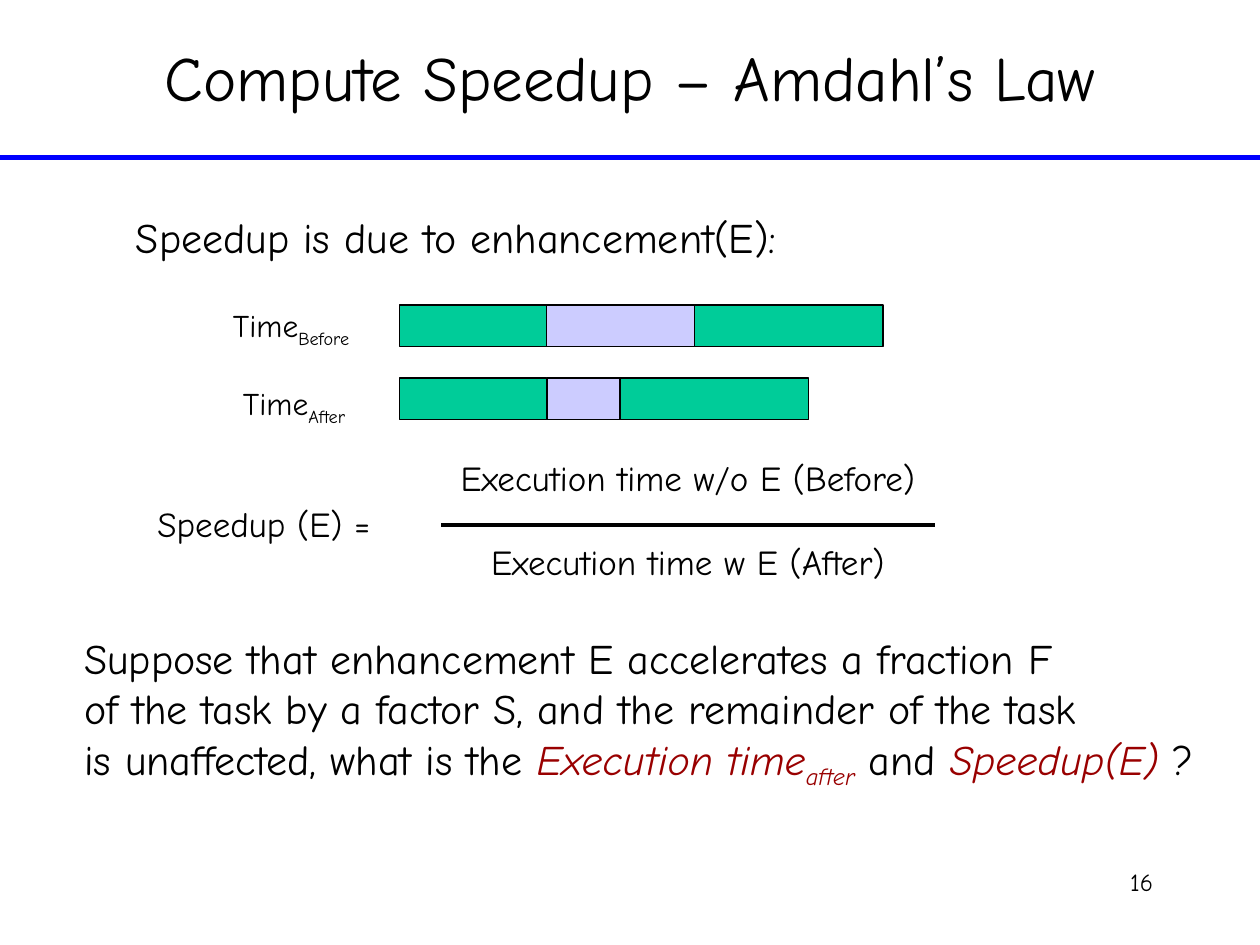
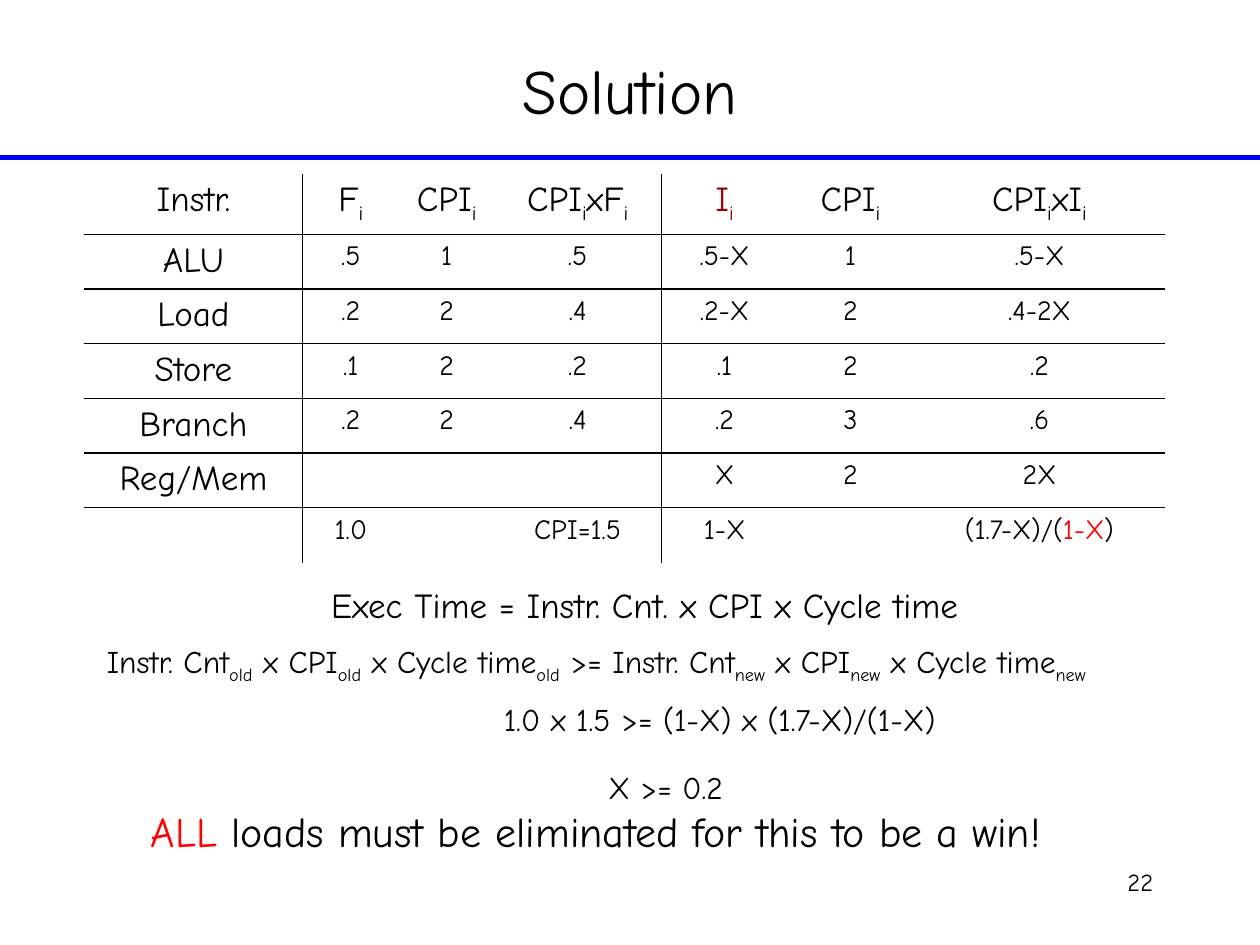
from lxml.etree import SubElement
from pptx import Presentation
from pptx.dml.color import RGBColor
from pptx.enum.shapes import MSO_CONNECTOR, MSO_SHAPE
from pptx.enum.text import MSO_ANCHOR, MSO_AUTO_SIZE, PP_ALIGN
from pptx.oxml.ns import qn
from pptx.util import Inches, Pt

FONT = "Comic Neue"
BLACK, BLUE, RED, DARK = "000000", "0000FF", "FF0000", "990000"
GREEN, LILAC = "00CC99", "CCCCFF"
LEFT, MID, RIGHT = PP_ALIGN.LEFT, PP_ALIGN.CENTER, PP_ALIGN.RIGHT
ink = RGBColor.from_string


def put(frame, size, align, lines, gap=0):
    """Write lines: each a string or a list of (text, colour, italic); _x_ is a subscript."""
    for i, line in enumerate(lines):
        para = frame.add_paragraph() if i else frame.paragraphs[0]
        para.alignment = align
        para.space_before = Pt(gap if i else 0)
        parts = [(line, BLACK, False)] if isinstance(line, str) else line
        for text, hue, slant in parts:
            for j, piece in enumerate(text.split("_")):
                if not piece:
                    continue
                run = para.add_run()
                run.text = piece
                look = {"name": FONT, "size": Pt(size), "italic": slant}
                for key, value in look.items():
                    setattr(run.font, key, value)
                run.font.color.rgb = ink(hue)
                if j % 2:
                    run.font._element.set("baseline", "-25000")


def rule(slide, x1, x2, y, hue, width):
    """Draw a level line."""
    line = slide.shapes.add_connector(
        MSO_CONNECTOR.STRAIGHT, Inches(x1), Inches(y), Inches(x2), Inches(y))
    line.line.color.rgb = ink(hue)
    line.line.width = Pt(width)
    SubElement(line._element.spPr, qn("a:effectLst"))


# Each box: place, size, alignment, wrap, gap between lines, lines
law = [
    ((0.98, 1.63, 5.63, 0.5), 24, LEFT, False, 0,
     ["Speedup is due to enhancement(E):"]),
    ((1.75, 2.38, 1.31, 0.4), 18, LEFT, False, 0, ["Time_Before_"]),
    ((1.83, 3, 1.23, 0.4), 18, LEFT, False, 0, ["Time_After_"]),
    ((1.15, 3.94, 1.99, 0.43), 20, LEFT, False, 0, ["Speedup (E) ="]),
    ((3.39, 3.57, 4.14, 1.1), 20, MID, False, 24,
     ["Execution time w/o E (Before)", "Execution time w E (After)"]),
    ((0.57, 4.97, 9.01, 1.7), 24, LEFT, True, 0,
     ["Suppose that enhancement E accelerates a fraction F",
      "of the task by a factor S, and the remainder of the task",
      [("is unaffected, what is the ", BLACK, False),
       ("Execution time_after_", DARK, True),
       (" and ", BLACK, False),
       ("Speedup(E) ", DARK, True),
       ("?", BLACK, False)]]),
]
answer = [
    ((2.53, 4.58, 5.69, 0.43), 20, LEFT, False, 0,
     ["Exec Time = Instr. Cnt. x CPI x Cycle time"]),
    ((0.75, 5.05, 8.91, 0.4), 18, LEFT, False, 0,
     ["Instr. Cnt_old_ x CPI_old_ x Cycle time_old_ >= "
      "Instr. Cnt_new_ x CPI_new_ x Cycle time_new_"]),
    ((3.9, 5.51, 3.91, 0.4), 18, LEFT, False, 0,
     ["1.0 x 1.5 >= (1-X) x (1.7-X)/(1-X)"]),
    ((4.73, 6.05, 1.12, 0.4), 18, LEFT, False, 0, ["X >= 0.2"]),
    ((1.1, 6.34, 7.9, 0.5), 24, LEFT, False, 0,
     [[("ALL", RED, False),
       (" loads must be eliminated for this to be a win!", BLACK, False)]]),
]
pages = [
    ("Compute Speedup – Amdahl’s Law", 0.87, "16", law),
    ("Solution", 1.08, "22", answer),
]

deck = Presentation()
deck.slide_width, deck.slide_height = Inches(10), Inches(7.5)

for name, height, number, boxes in pages:
    slide = deck.slides.add_slide(deck.slide_layouts[5])
    rule(slide, 0, 10, 1.25, BLUE, 3)
    title = slide.shapes.title
    place = {"left": 0.75, "top": 0.17, "width": 8.5, "height": height}
    for key, value in place.items():
        setattr(title, key, Inches(value))
    title.text_frame.auto_size = MSO_AUTO_SIZE.NONE
    title.text_frame.vertical_anchor = MSO_ANCHOR.MIDDLE
    put(title.text_frame, 36, MID, [name])

    footer = ((7.17, 6.83, 2.08, 0.5), 14, RIGHT, True, 0, [number])
    for spot, size, align, wrap, gap, lines in boxes + [footer]:
        frame = slide.shapes.add_textbox(*map(Inches, spot)).text_frame
        frame.word_wrap = wrap
        put(frame, size, align, lines, gap)

# Time bars and fraction line
first, second = deck.slides
for top, middle in ((2.42, 1.17), (3, 0.58)):
    left = 3.17
    for width, hue in ((1.17, GREEN), (middle, LILAC), (1.5, GREEN)):
        bar = first.shapes.add_shape(
            MSO_SHAPE.RECTANGLE, *map(Inches, (left, top, width, 0.33)))
        bar.shadow.inherit = False
        bar.fill.solid()
        bar.fill.fore_color.rgb = ink(hue)
        bar.line.color.rgb = ink(BLACK)
        bar.line.width = Pt(0.75)
        left += width
rule(first, 3.5, 7.42, 4.17, BLACK, 2.25)

# Instruction mix before and after
mix = [
    ["Instr.", "F_i_", "CPI_i_", "CPI_i_xF_i_", [("I_i_", DARK, False)],
     "CPI_i_", "CPI_i_xI_i_"],
    ["ALU", ".5", "1", ".5", ".5-X", "1", ".5-X"],
    ["Load", ".2", "2", ".4", ".2-X", "2", ".4-2X"],
    ["Store", ".1", "2", ".2", ".1", "2", ".2"],
    ["Branch", ".2", "2", ".4", ".2", "3", ".6"],
    ["Reg/Mem", "", "", "", "X", "2", "2X"],
    ["", "1.0", "", "CPI=1.5", "1-X", "",
     [("(1.7-X)/(", BLACK, False), ("1-X", RED, False), (")", BLACK, False)]],
]
widths = [1.73, 0.77, 0.75, 1.33, 1, 1, 2]
heights = [0.48] + [0.43] * 5 + [0.44]
grid = second.shapes.add_table(
    len(mix), len(widths),
    *map(Inches, (0.67, 1.38, sum(widths), sum(heights)))).table
grid.first_row = grid.horz_banding = False
for column, width in zip(grid.columns, widths):
    column.width = Inches(width)
for row, height in zip(grid.rows, heights):
    row.height = Inches(height)

last = len(mix) - 1
for r, row in enumerate(mix):
    for c, entry in enumerate(row):
        cell = grid.cell(r, c)
        put(cell.text_frame, 16 if r and c else 20, MID, [entry])
        props = cell._tc.get_or_add_tcPr()
        sides = {"L": c in (1, 4), "R": c in (0, 3), "T": r > 0, "B": r < last}
        for side, drawn in sides.items():
            edge = SubElement(props, qn("a:ln" + side), w=str(Pt(1)))
            if drawn:
                paint = SubElement(edge, qn("a:solidFill"))
                SubElement(paint, qn("a:srgbClr"), val=BLACK)
            else:
                SubElement(edge, qn("a:noFill"))
        cell.fill.background()

deck.save("out.pptx")
